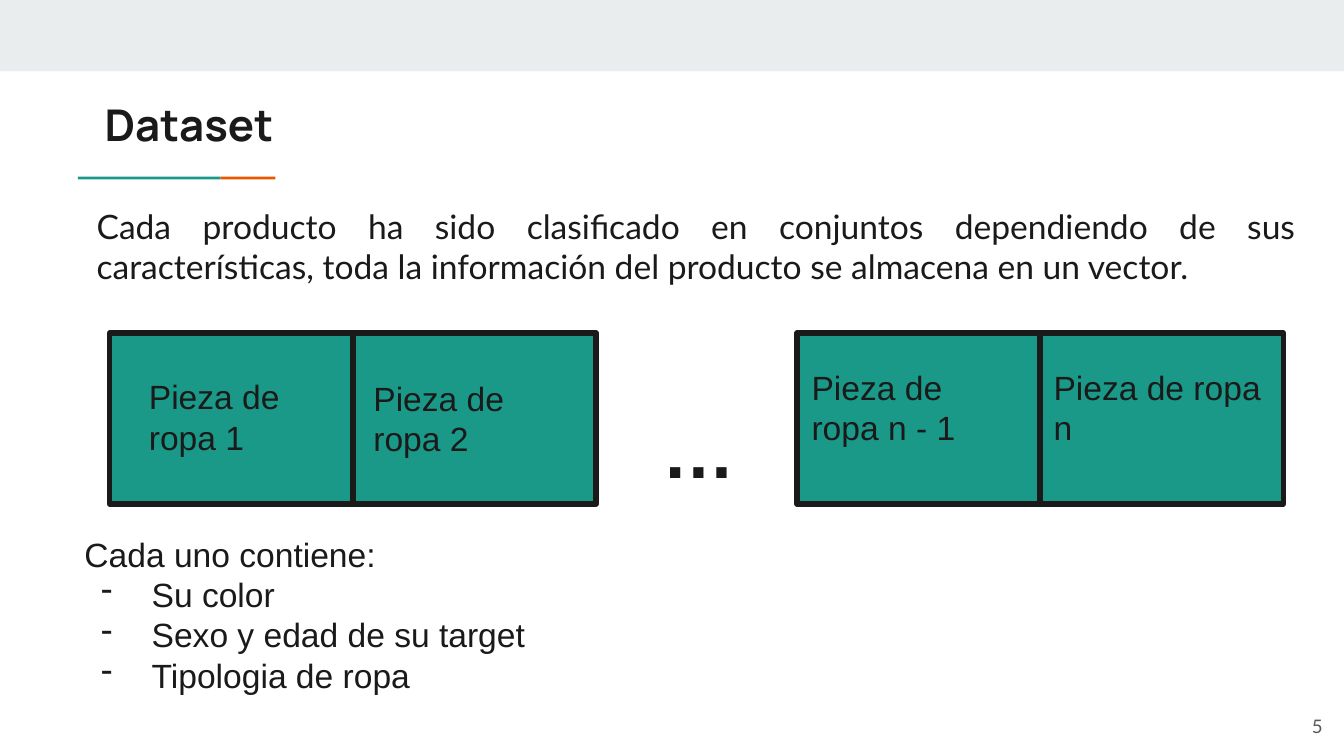
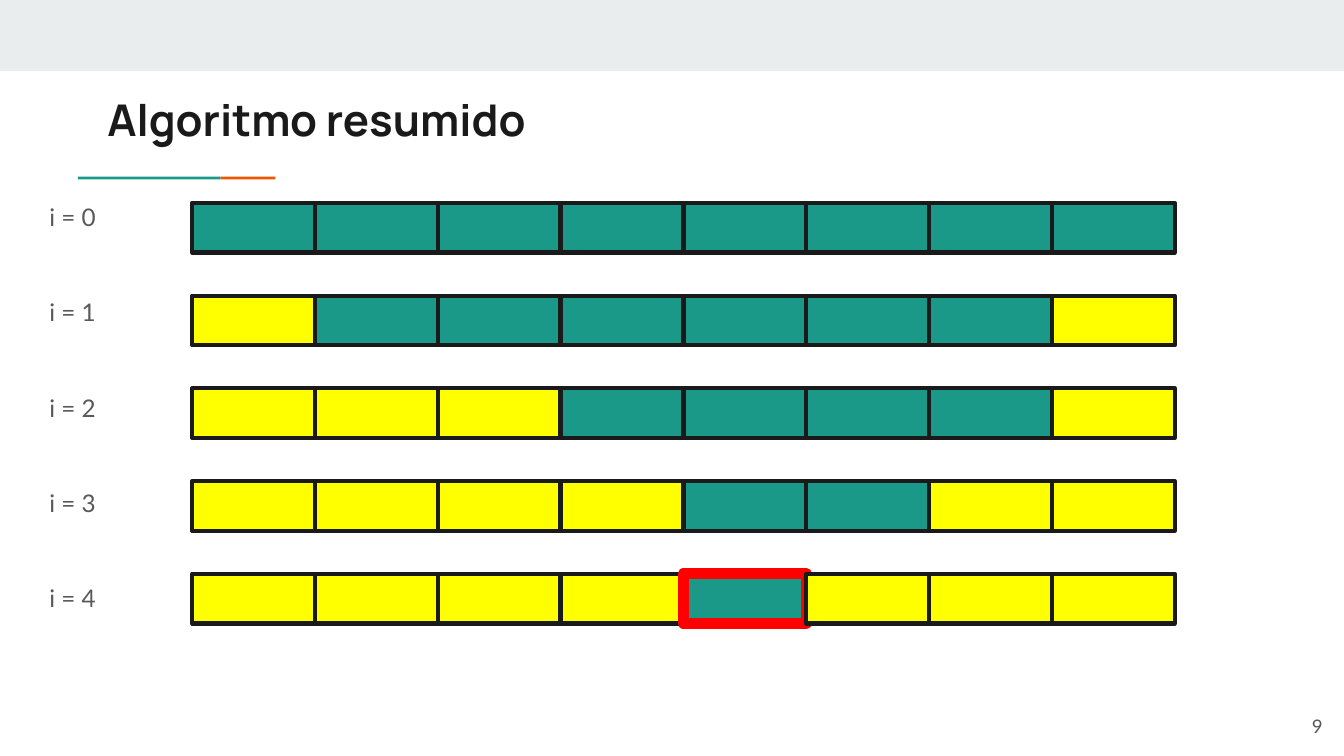
from lxml.etree import SubElement
from pptx import Presentation
from pptx.dml.color import RGBColor
from pptx.enum.shapes import MSO_SHAPE
from pptx.enum.text import MSO_ANCHOR, PP_ALIGN
from pptx.oxml.ns import qn
from pptx.util import Inches, Pt

# Palette and fonts
INK, GREY, BAND = "1A1A1A", "595959", "E9EDEE"
TEAL, ORANGE, YELLOW, RED = "1A9988", "EB5600", "FFFF00", "FF0000"
TITLE_FONT, BODY_FONT, PLAIN_FONT = "Manrope", "Lato", "Arial"

# Square grid: 100 columns by 56.25 rows
COLS, ROWS = 100, 56.25
CELL = Inches(10) // COLS


def box(slide, left, top, width, height, fill, line=None, weight=0):
    """Draw a rectangle placed in grid units."""
    rect = slide.shapes.add_shape(
        MSO_SHAPE.RECTANGLE, *(round(n * CELL) for n in (left, top, width, height)))
    rect.shadow.inherit = False
    rect.fill.solid()
    rect.fill.fore_color.rgb = RGBColor.from_string(fill)
    if line:
        rect.line.color.rgb = RGBColor.from_string(line)
        rect.line.width = Pt(weight)
        SubElement(rect.line._get_or_add_ln(), qn("a:round"))
    else:
        rect.line.fill.background()


def write(slide, text, left, top, width, height, size=18, font=PLAIN_FONT, color=INK,
          bold=False, align=PP_ALIGN.LEFT, anchor=MSO_ANCHOR.TOP, after=0,
          spacing=1.0, items=()):
    """Write a paragraph, followed by optional dashed items."""
    frame = slide.shapes.add_textbox(
        *(round(n * CELL) for n in (left, top, width, height))).text_frame
    frame.word_wrap = True
    frame.vertical_anchor = anchor
    frame.margin_left = frame.margin_right = CELL
    frame.margin_top = frame.margin_bottom = CELL
    for index, line in enumerate((text, *items)):
        paragraph = frame.add_paragraph() if index else frame.paragraphs[0]
        paragraph.alignment = align
        paragraph.line_spacing = spacing
        paragraph.space_after = Pt(after)
        run = paragraph.add_run()
        run.text = line
        run.font.size = Pt(size)
        run.font.name = font
        run.font.bold = bold
        run.font.color.rgb = RGBColor.from_string(color)
        if index:
            properties = paragraph._p.get_or_add_pPr()
            properties.set("marL", str(5 * CELL))
            properties.set("indent", str(round(-3.75 * CELL)))
            bullet_color = SubElement(properties, qn("a:buClr"))
            SubElement(bullet_color, qn("a:srgbClr"), val=color)
            SubElement(properties, qn("a:buChar"), char="-")


deck = Presentation()
deck.slide_width = COLS * CELL
deck.slide_height = round(ROWS * CELL)
blank = deck.slide_layouts[6]
dataset, algorithm = deck.slides.add_slide(blank), deck.slides.add_slide(blank)

# Band, accent line, title and page number on both slides
for slide, title, left, top, page in (
        (dataset, "Dataset", 6.8, 6.3, "5"),
        (algorithm, "Algoritmo resumido", 7, 5.9, "9")):
    box(slide, 0, 0, COLS, 5.3, BAND)
    box(slide, 16.4, 13.15, 4.1, 0.2, ORANGE)
    box(slide, 5.8, 13.15, 10.6, 0.2, TEAL)
    write(slide, title, left, top, 84, 6, size=23.4, font=TITLE_FONT, bold=True)
    write(slide, page, 93.4, 51.9, 6, 4.3, size=10, font=BODY_FONT, color=GREY,
          align=PP_ALIGN.RIGHT, anchor=MSO_ANCHOR.MIDDLE)

# Dataset: introduction
write(dataset, "Cada producto ha sido clasificado en conjuntos dependiendo de sus "
      "características, toda la información del producto se almacena en un vector.",
      6.2, 14.3, 91.2, 9.2, font=BODY_FONT, align=PP_ALIGN.JUSTIFY, after=12)

# Dataset: both ends of the vector
piece_width, piece_height = 18.1, 12.7
for vector_left in (8.15, 59.3):
    for place in range(2):
        box(dataset, vector_left + place * piece_width, 24.8, piece_width, piece_height,
            TEAL, INK, 3)
for piece, left, top, width in (
        ("1", 10.1, 27, 14.3), ("2", 26.8, 27.1, 17.1),
        ("n - 1", 59.4, 26.3, 17.1), ("n", 77.4, 26.3, 18.1)):
    write(dataset, f"Pieza de ropa {piece}", left, top, width, 8.1)
write(dataset, "…", 48.3, 29.2, 10.3, 8.3, size=39, bold=True)

# Dataset: contents of each piece
write(dataset, "Cada uno contiene:", 5.3, 38.7, 53.1, 16,
      items=("Su color", "Sexo y edad de su target", "Tipologia de ropa"))

# Algorithm: range of candidates still open at each step
places = 8
place_width, place_height = 73.1 / places, 3.7
open_ranges = ((0, 8), (1, 7), (3, 7), (4, 6), (4, 5))
for step, (first, end) in enumerate(open_ranges):
    write(algorithm, f"i = {step}", 2.7, 13.7 + 7.1 * step, 7.6, 5.1, size=13,
          font=BODY_FONT, color=GREY, after=12, spacing=1.15)
    for place in range(places):
        candidate = first <= place < end
        found = candidate and end - first == 1
        box(algorithm, 14.3 + place * place_width, 15.1 + 6.9 * step,
            place_width, place_height, TEAL if candidate else YELLOW,
            RED if found else INK, 6 if found else 2.25)

deck.save("out.pptx")
